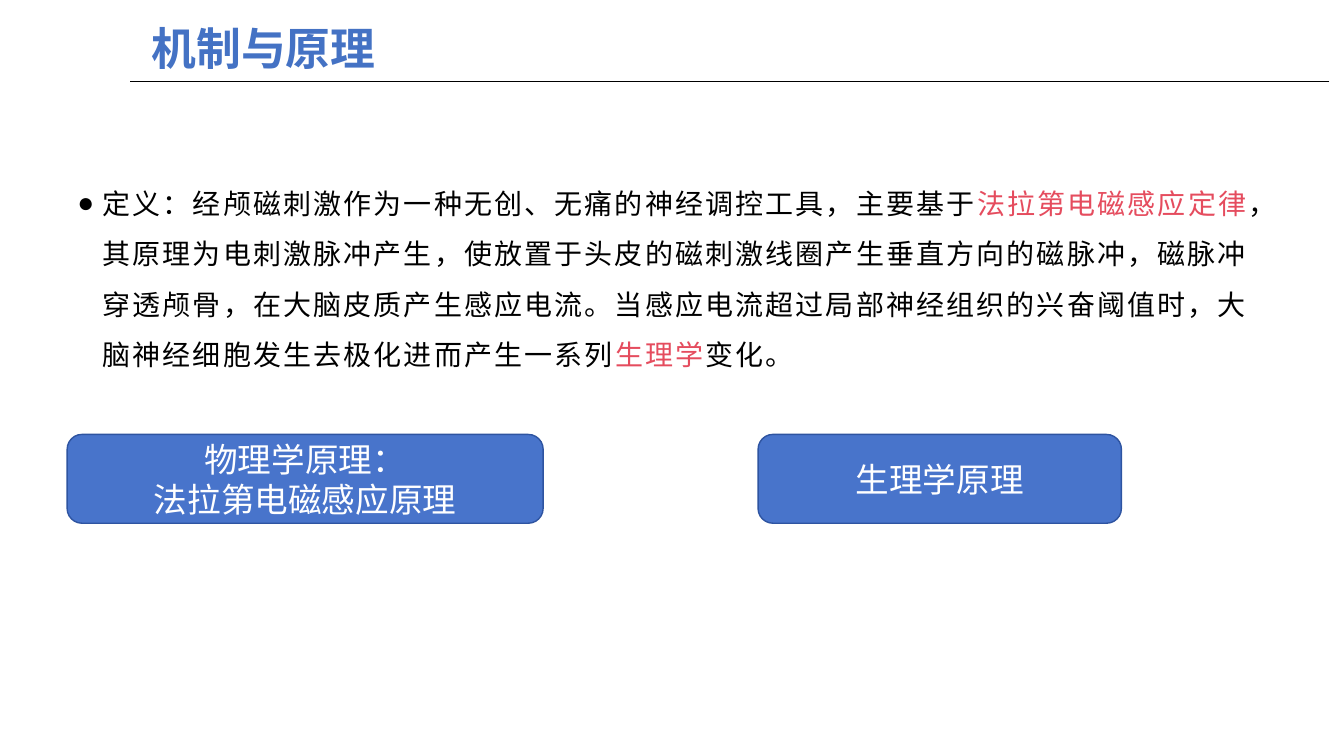
from lxml import etree
from pptx import Presentation
from pptx.dml.color import RGBColor
from pptx.enum import shapes, text
from pptx.oxml import ns
from pptx.util import Pt

BLACK = RGBColor(0x00, 0x00, 0x00)
WHITE = RGBColor(0xFF, 0xFF, 0xFF)
TITLE_BLUE = RGBColor(0x44, 0x72, 0xC4)
BOX_BLUE = RGBColor(0x48, 0x74, 0xCB)
EDGE_BLUE = RGBColor(0x2E, 0x54, 0xA1)
RED = RGBColor(0xE5, 0x4C, 0x5E)

CJK = "Noto Sans CJK SC"
TITLE = {"name": CJK, "size": Pt(32), "bold": True}
BODY = {"name": CJK, "size": Pt(20)}
BOX = {"name": "Arial", "size": Pt(24)}

DEFINITION = [
    ("定义：经颅磁刺激作为一种无创、无痛的神经调控工具，主要基于", BLACK),
    ("法拉第电磁感应定律", RED),
    ("，其原理为电刺激脉冲产生，使放置于头皮的磁刺激线圈产生垂直方向的磁脉冲，"
     "磁脉冲穿透颅骨，在大脑皮质产生感应电流。当感应电流超过局部神经组织的兴奋阈值时，"
     "大脑神经细胞发生去极化进而产生一系列", BLACK),
    ("生理学", RED),
    ("变化。", BLACK),
]
PRINCIPLES = [
    (48, 340, ["物理学原理：", "法拉第电磁感应原理"]),
    (541.5, 259.5, ["生理学原理"]),
]


def set_attrs(obj, values):
    for name, value in values.items():
        setattr(obj, name, value)


def place(sp, left, top, width, height):
    set_attrs(sp, {"left": Pt(left), "top": Pt(top),
                   "width": Pt(width), "height": Pt(height)})


class Deck:
    def __init__(self):
        self.prs = Presentation()
        set_attrs(self.prs, {"slide_width": Pt(960), "slide_height": Pt(540)})
        self.s = self.prs.slides.add_slide(self.prs.slide_layouts[1])

    def run(self, p, words, style, color, spacing=None):
        """Add a run with Latin and East Asian fonts; spacing is in points."""
        r = p.add_run()
        r.text = words
        set_attrs(r.font, style)
        r.font.color.rgb = color
        rpr = r._r.get_or_add_rPr()
        etree.SubElement(rpr, ns.qn("a:ea"), typeface=CJK)
        if spacing:
            rpr.set("spc", str(round(spacing * 100)))

    def title(self, words, *box):
        sp = self.s.shapes.title
        place(sp, *box)
        tf = sp.text_frame
        set_attrs(tf, {"vertical_anchor": text.MSO_ANCHOR.TOP, "word_wrap": True,
                       "auto_size": text.MSO_AUTO_SIZE.NONE})
        p = tf.paragraphs[0]
        p.alignment = text.PP_ALIGN.LEFT
        self.run(p, words, TITLE, TITLE_BLUE)

    def bullet(self, parts, *box):
        sp = self.s.placeholders[1]
        place(sp, *box)
        tf = sp.text_frame
        tf.auto_size = text.MSO_AUTO_SIZE.NONE
        p = tf.paragraphs[0]
        set_attrs(p, {"line_spacing": 1.5, "space_before": Pt(0), "space_after": Pt(10)})
        ppr = p._p.get_or_add_pPr()
        ppr.set("marL", str(Pt(18)))
        ppr.set("indent", str(-Pt(18)))
        etree.SubElement(ppr, ns.qn("a:buFont"), typeface="Arial")
        etree.SubElement(ppr, ns.qn("a:buChar"), char="●")
        for words, color in parts:
            self.run(p, words, BODY, color, spacing=1.5)

    def box(self, lines, *box):
        sp = self.s.shapes.add_shape(shapes.MSO_SHAPE.ROUNDED_RECTANGLE, *map(Pt, box))
        sp.shadow.inherit = False
        sp.fill.solid()
        sp.fill.fore_color.rgb = BOX_BLUE
        sp.line.color.rgb = EDGE_BLUE
        sp.line.width = Pt(1)
        tf = sp.text_frame
        tf.vertical_anchor = text.MSO_ANCHOR.MIDDLE
        for i, words in enumerate(lines):
            p = tf.add_paragraph() if i else tf.paragraphs[0]
            p.alignment = text.PP_ALIGN.CENTER
            self.run(p, words, BOX, WHITE)

    def rule(self, *ends):
        line = self.s.shapes.add_connector(shapes.MSO_CONNECTOR.STRAIGHT, *map(Pt, ends))
        line.line.color.rgb = BLACK
        line.line.width = Pt(1)
        etree.SubElement(line._element.spPr, ns.qn("a:effectLst"))


def main():
    deck = Deck()
    deck.title("机制与原理", 101, 11, 649, 46)
    deck.bullet(DEFINITION, 48, 117.5, 864, 374.5)
    for left, width, lines in PRINCIPLES:
        deck.box(lines, left, 310.3, width, 63.4)
    deck.rule(949.5, 58.3, 93, 58.3)
    deck.prs.save("out.pptx")


if __name__ == "__main__":
    main()
